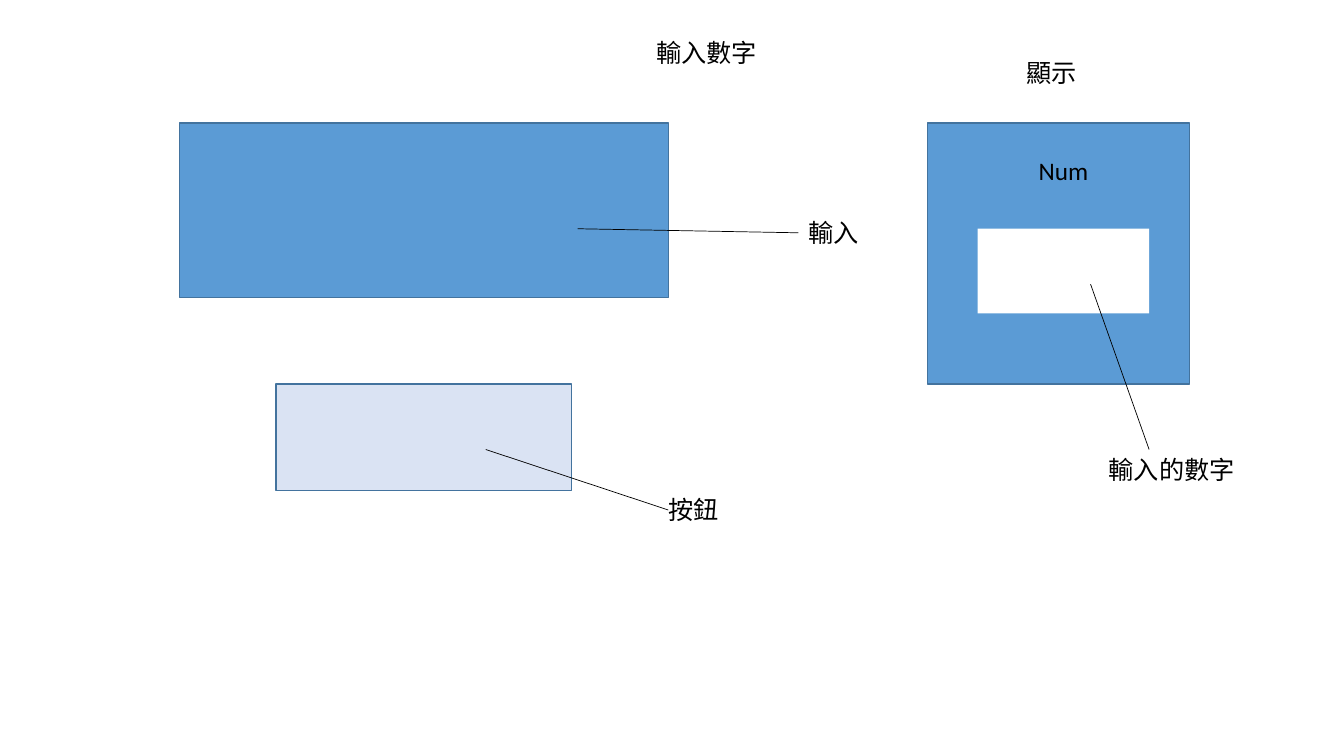
"""Build a sketch of a number input screen and its display screen."""
from typing import NamedTuple, Optional

import pptx
import pptx.dml.color
import pptx.enum.shapes
import pptx.enum.text
import pptx.oxml
import pptx.oxml.ns
import pptx.slide
import pptx.util

BLUE = "5B9BD5"
PALE_BLUE = "DAE3F3"
WHITE = "FFFFFF"
BLACK = "000000"
BORDER = "43739E"
LABEL_HEIGHT = 28.8
SCREEN_TOP = 87.8
LEFT = pptx.enum.text.PP_ALIGN.LEFT
CENTER = pptx.enum.text.PP_ALIGN.CENTER


class Panel(NamedTuple):
    left: float
    top: float
    width: float
    height: float
    fill: str
    border: Optional[str] = BORDER


class Pointer(NamedTuple):
    start_x: float
    start_y: float
    end_x: float
    end_y: float


class Label(NamedTuple):
    text: str
    left: float
    top: float
    width: float
    align: pptx.enum.text.PP_ALIGN = LEFT


PANELS = [
    Panel(128.2, SCREEN_TOP, 349.2, 124.6, BLUE),
    Panel(197.3, 274.3, 211, 76.3, PALE_BLUE),
    Panel(662.4, SCREEN_TOP, 187.2, 186.5, BLUE),
    Panel(698.4, 163.4, 122.4, 60.5, WHITE, None),
]
POINTERS = [
    Pointer(347, 321.1, 477.4, 364.3),
    Pointer(412.6, 163.4, 570.2, 166.3),
    Pointer(779, 203, 820.8, 321.1),
]
LABELS = [
    Label("按鈕", 470.2, 349.2, 82.1),
    Label("輸入", 570.2, 151.9, 128.2),
    Label("Num", 706.3, 107.3, 106.6, CENTER),
    Label("輸入數字", 381.6, 23, 246.2, CENTER),
    Label("顯示", 689.8, 37.4, 123.1, CENTER),
    Label("輸入的數字", 784.8, 321.1, 114.5),
]


def color(value: str) -> pptx.dml.color.RGBColor:
    return pptx.dml.color.RGBColor.from_string(value)


def draw_panel(slide: pptx.slide.Slide, panel: Panel) -> None:
    rectangle = slide.shapes.add_shape(
        pptx.enum.shapes.MSO_SHAPE.RECTANGLE,
        *map(pptx.util.Pt, (panel.left, panel.top, panel.width, panel.height)),
    )
    rectangle.shadow.inherit = False
    rectangle.fill.solid()
    rectangle.fill.fore_color.rgb = color(panel.fill)
    if panel.border is None:
        rectangle.line.fill.background()
    else:
        rectangle.line.color.rgb = color(panel.border)
        rectangle.line.width = pptx.util.Pt(1)


def draw_pointer(slide: pptx.slide.Slide, pointer: Pointer) -> None:
    line = slide.shapes.add_connector(
        pptx.enum.shapes.MSO_CONNECTOR.STRAIGHT, *map(pptx.util.Pt, pointer)
    )
    line.line.color.rgb = color(BLACK)
    line.line.width = pptx.util.Pt(0.5)
    properties = line._element.spPr
    properties.append(properties.makeelement(pptx.oxml.ns.qn("a:effectLst"), {}))


def draw_label(slide: pptx.slide.Slide, label: Label) -> None:
    box = slide.shapes.add_textbox(
        *map(pptx.util.Pt, (label.left, label.top, label.width, LABEL_HEIGHT))
    )
    frame = box.text_frame
    frame.word_wrap = True
    frame.auto_size = pptx.enum.text.MSO_AUTO_SIZE.SHAPE_TO_FIT_TEXT
    frame.text = label.text
    paragraph = frame.paragraphs[0]
    paragraph.alignment = label.align
    font = paragraph.runs[0].font
    font.name = "Calibri"
    font.size = pptx.util.Pt(18)
    font.color.rgb = color(BLACK)


def main() -> None:
    presentation = pptx.Presentation()
    presentation.slide_width = pptx.util.Pt(960)
    presentation.slide_height = pptx.util.Pt(540)
    slide = presentation.slides.add_slide(presentation.slide_layouts[6])
    for panel in PANELS:
        draw_panel(slide, panel)
    for pointer in POINTERS:
        draw_pointer(slide, pointer)
    for label in LABELS:
        draw_label(slide, label)
    presentation.save("out.pptx")


main()
